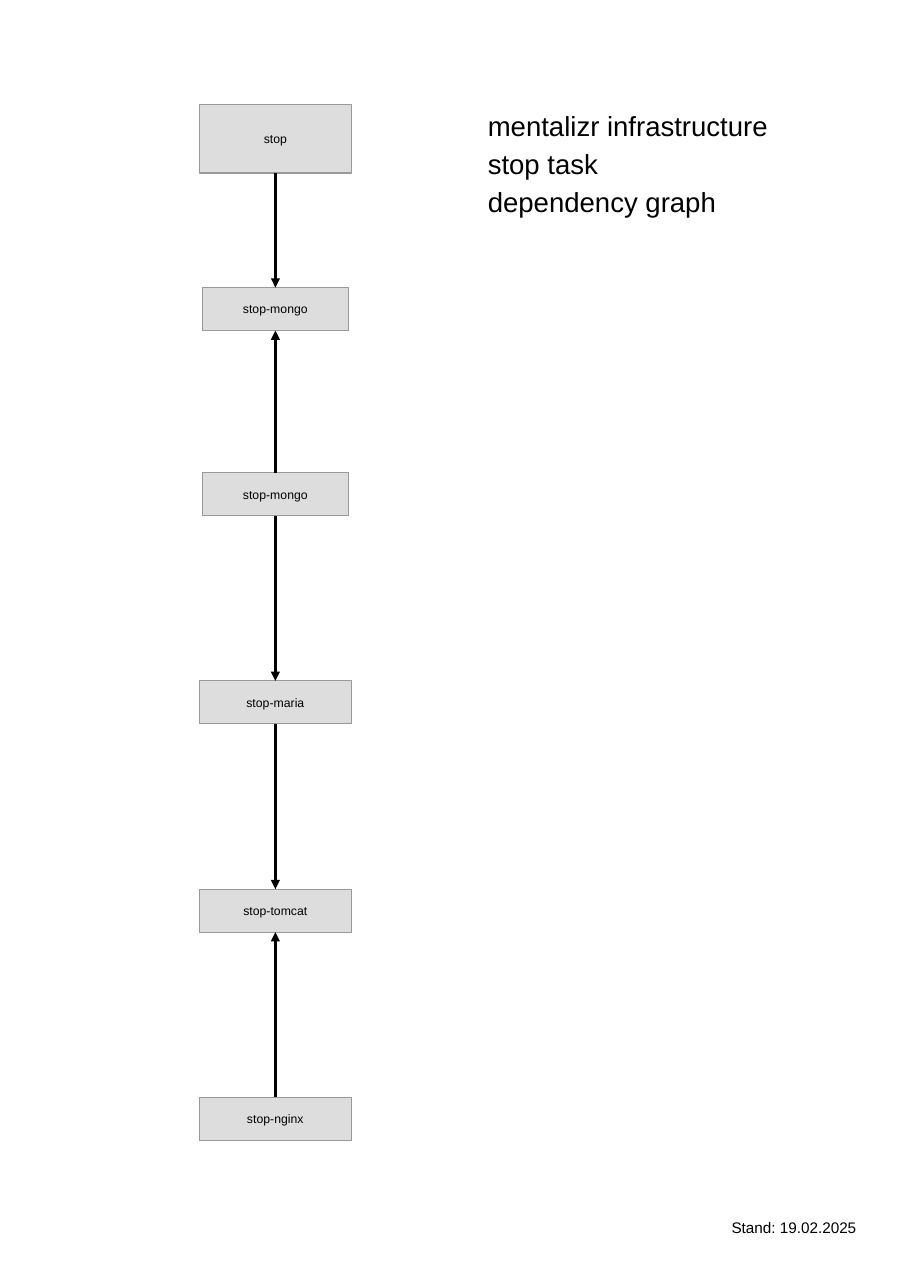
from dataclasses import dataclass

from lxml import etree
from pptx import Presentation
from pptx import util as u
from pptx.dml.color import RGBColor
from pptx.enum import shapes, text
from pptx.oxml.ns import qn

PX = 9144  # EMU per px, 100 px to the inch


@dataclass(frozen=True)
class Theme:
    font: str = "Arial"
    ink: str = "000000"
    box_fill: str = "DDDDDD"
    box_line: str = "999999"
    title_size: int = 18
    date_size: int = 10
    box_size: int = 8


def px(length):
    return u.Emu(length * PX)


def color(value):
    return RGBColor.from_string(value)


def write_text(shape, lines, *, font, size, ink, align=text.PP_ALIGN.LEFT,
               wrap=True, grow=False, line_spacing=None):
    """Fill a shape with paragraphs; line_spacing applies after the first."""
    frame = shape.text_frame
    frame.word_wrap = wrap
    if grow:
        frame.auto_size = text.MSO_AUTO_SIZE.SHAPE_TO_FIT_TEXT
    for index, line in enumerate(lines):
        paragraph = frame.add_paragraph() if index else frame.paragraphs[0]
        paragraph.alignment = align
        if index and line_spacing:
            paragraph.line_spacing = line_spacing
        run = paragraph.add_run()
        run.text = line
        run.font.name = font
        run.font.size = u.Pt(size)
        run.font.color.rgb = color(ink)


class Graph:
    def __init__(self, slide, theme):
        self.slide = slide
        self.theme = theme

    def task(self, label, center, top, width, height):
        shape = self.slide.shapes.add_shape(
            shapes.MSO_SHAPE.RECTANGLE,
            px(center - width // 2), px(top), px(width), px(height))
        shape.shadow.inherit = False
        shape.fill.solid()
        shape.fill.fore_color.rgb = color(self.theme.box_fill)
        shape.line.color.rgb = color(self.theme.box_line)
        shape.line.width = 0
        shape.text_frame.vertical_anchor = text.MSO_ANCHOR.MIDDLE
        write_text(shape, [label], font=self.theme.font, ink=self.theme.ink,
                   size=self.theme.box_size, align=text.PP_ALIGN.CENTER, wrap=False)
        return shape

    def arrow(self, source, target):
        """Join the facing sides of two boxes, pointing at the target."""
        downward = source.top < target.top
        connector = self.slide.shapes.add_connector(
            shapes.MSO_CONNECTOR.STRAIGHT, 0, 0, 0, 0)
        connector.begin_connect(source, 2 if downward else 0)
        connector.end_connect(target, 0 if downward else 2)
        connector.line.color.rgb = color(self.theme.ink)
        connector.line.width = 0
        properties = connector._element.spPr
        etree.SubElement(properties.find(qn("a:ln")), qn("a:tailEnd"), type="triangle")
        etree.SubElement(properties, qn("a:effectLst"))

    def label(self, lines, left, top, width, height, size, **style):
        box = self.slide.shapes.add_textbox(px(left), px(top), px(width), px(height))
        write_text(box, lines, font=self.theme.font, ink=self.theme.ink,
                   size=size, grow=True, **style)


def main():
    presentation = Presentation()
    presentation.slide_width, presentation.slide_height = px(827), px(1169)
    slide = presentation.slides.add_slide(presentation.slide_layouts[6])
    theme = Theme()
    graph = Graph(slide, theme)

    # Task boxes: label, top, width, height
    tasks = [
        ("stop", 95, 138, 62),
        ("stop-mongo", 261, 132, 39),
        ("stop-mongo", 429, 132, 39),
        ("stop-maria", 618, 138, 39),
        ("stop-tomcat", 807, 138, 39),
        ("stop-nginx", 996, 138, 39),
    ]
    stop, mongo_end, mongo_start, maria, tomcat, nginx = [
        graph.task(label, 250, top, width, height)
        for label, top, width, height in tasks]

    # Dependencies
    for source, target in [(stop, mongo_end), (mongo_start, mongo_end),
                           (mongo_start, maria), (maria, tomcat), (nginx, tomcat)]:
        graph.arrow(source, target)

    # Title and date
    graph.label(["mentalizr infrastructure", "stop task", "dependency graph"],
                433, 94, 331, 102, theme.title_size, line_spacing=1.15)
    graph.label(["Stand: 19.02.2025"], 598, 1101, 189, 25, theme.date_size,
                align=text.PP_ALIGN.RIGHT)

    presentation.save("out.pptx")


if __name__ == "__main__":
    main()
